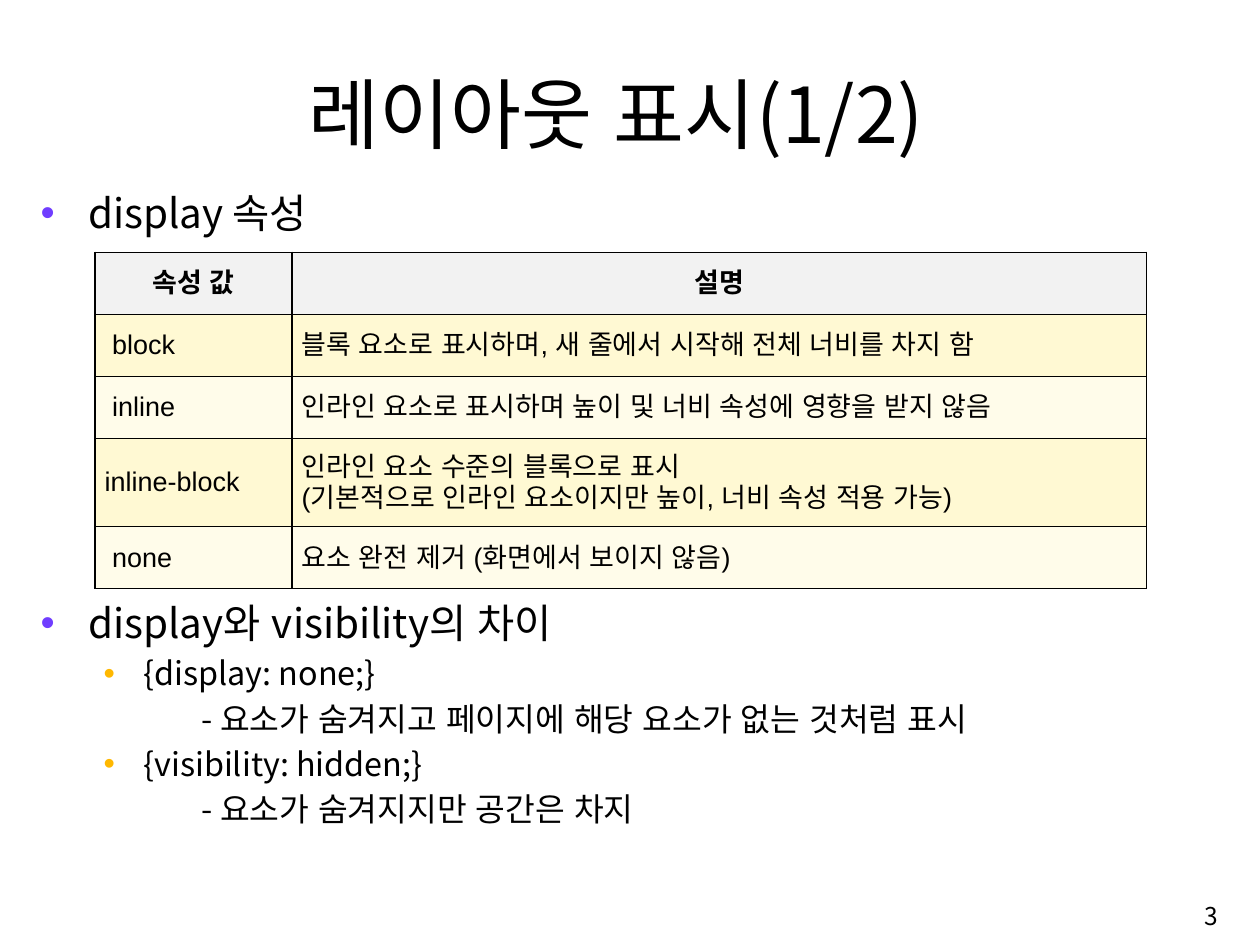
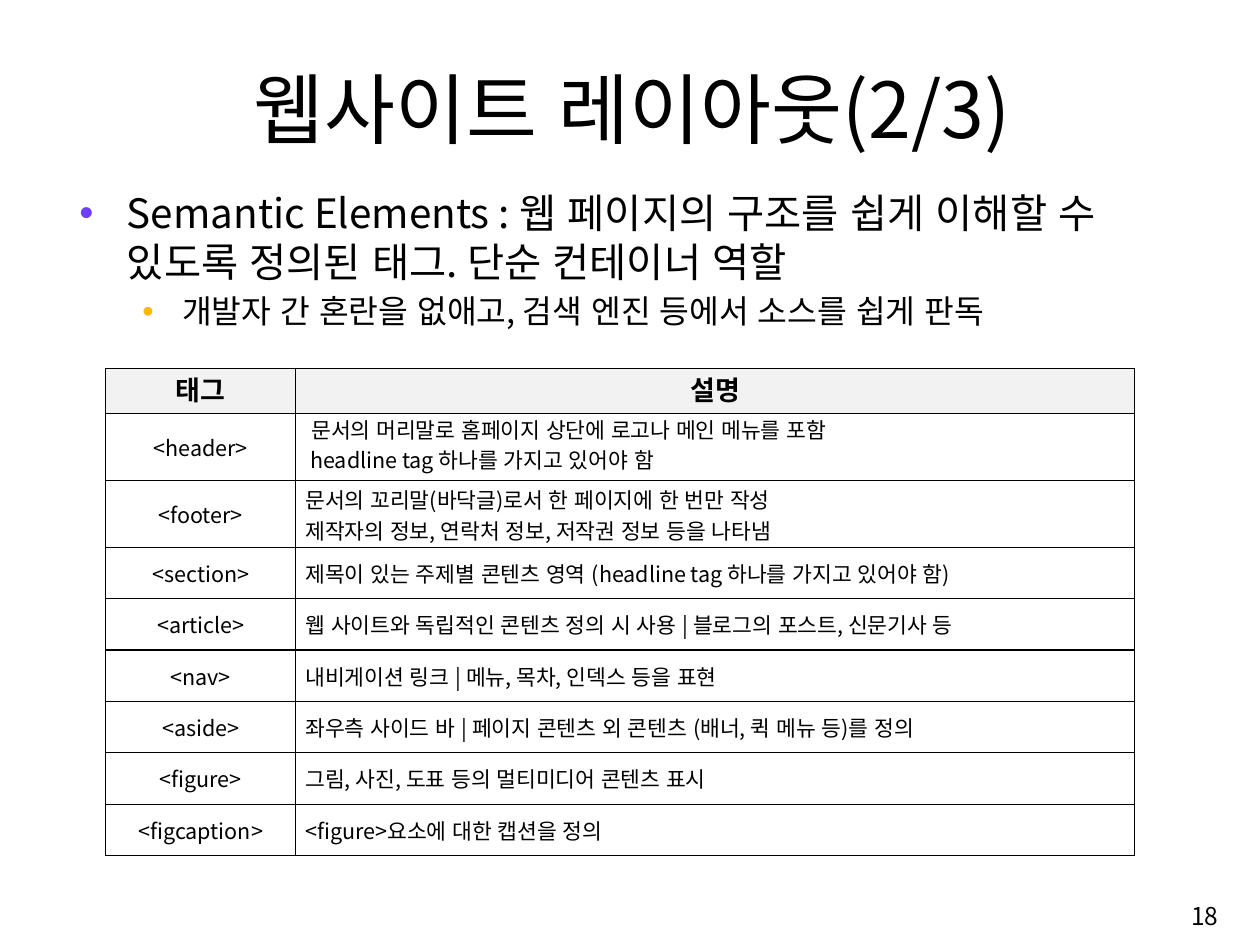
from dataclasses import dataclass

from lxml import etree
from pptx import Presentation
from pptx.dml.color import RGBColor
from pptx.enum.text import MSO_ANCHOR, PP_ALIGN
from pptx.oxml.ns import qn
from pptx.util import Inches, Pt

LEFT, CENTER, RIGHT = PP_ALIGN.LEFT, PP_ALIGN.CENTER, PP_ALIGN.RIGHT
JUSTIFY = PP_ALIGN.JUSTIFY
TOP, MIDDLE, BOTTOM = MSO_ANCHOR.TOP, MSO_ANCHOR.MIDDLE, MSO_ANCHOR.BOTTOM

WIDE, HIGH = 12.99, 9.74
SANS, ARIAL = "Noto Sans CJK KR", "Arial"
BLACK, GRAY = "000000", "F2F2F2"
YELLOW, CREAM = "FFF9D3", "FFFCEA"
PURPLE, ORANGE = "703DFF", "FFB800"


@dataclass(frozen=True)
class Level:
    size: float
    margin: float
    hang: float = 0
    bullet: str = ""


HEAD = Level(30, 0.49, 0.49, PURPLE)
ITEM = Level(24, 1.06, 0.41, ORANGE)
NOTE = Level(24, 1.66)


@dataclass(frozen=True)
class Grid:
    """A table; rows with two lines of text take the tall height."""
    left: float
    top: float
    cols: tuple[float, ...]
    head: float
    row: float
    tall: float
    font: str
    size: float
    aligns: tuple
    fills: tuple[str, ...]
    pad: float
    rows: tuple[tuple[str, str], ...]


DISPLAY = Grid(
    0.98, 2.6, (2.03, 8.81), 0.64, 0.64, 0.91, ARIAL, 20, (LEFT, LEFT),
    (YELLOW, CREAM), 0.05,
    (
        ("속성 값", "설명"),
        (" block", "블록 요소로 표시하며, 새 줄에서 시작해 전체 너비를 차지 함"),
        (" inline", "인라인 요소로 표시하며 높이 및 너비 속성에 영향을 받지 않음"),
        ("inline-block", "인라인 요소 수준의 블록으로 표시\n"
                         "(기본적으로 인라인 요소이지만 높이, 너비 속성 적용 가능)"),
        (" none", "요소 완전 제거 (화면에서 보이지 않음)"),
    ),
)
TAGS = Grid(
    1.09, 3.8, (1.96, 8.65), 0.46, 0.53, 0.69, SANS, 16, (CENTER, JUSTIFY),
    (), 0.03,
    (
        ("태그", "설명"),
        ("<header>", " 문서의 머리말로 홈페이지 상단에 로고나 메인 메뉴를 포함\n"
                     " headline tag 하나를 가지고 있어야 함"),
        ("<footer>", "문서의 꼬리말(바닥글)로서 한 페이지에 한 번만 작성\n"
                     "제작자의 정보, 연락처 정보, 저작권 정보 등을 나타냄"),
        ("<section>", "제목이 있는 주제별 콘텐츠 영역 (headline tag 하나를 가지고 있어야 함)"),
        ("<article>", "웹 사이트와 독립적인 콘텐츠 정의 시 사용 | 블로그의 포스트, 신문기사 등"),
        ("<nav>", "내비게이션 링크 | 메뉴, 목차, 인덱스 등을 표현"),
        ("<aside>", "좌우측 사이드 바 | 페이지 콘텐츠 외 콘텐츠 (배너, 퀵 메뉴 등)를 정의"),
        ("<figure>", "그림, 사진, 도표 등의 멀티미디어 콘텐츠 표시"),
        ("<figcaption>", "<figure>요소에 대한 캡션을 정의"),
    ),
)


def color(code: str) -> RGBColor:
    return RGBColor.from_string(code)


def style(para, size: float, align=LEFT, font: str = SANS, bold: bool = False) -> None:
    para.alignment = align
    for run in para.runs:
        run.font.name = font
        run.font.size = Pt(size)
        run.font.bold = bold
        run.font.color.rgb = color(BLACK)
        latin = run.font._element.find(qn("a:latin"))
        latin.addnext(latin.makeelement(qn("a:ea"), {"typeface": ARIAL}))


def add_box(slide, left: float, top: float, width: float, height: float, anchor=TOP):
    """Add a wrapping text box and return its text frame."""
    box = slide.shapes.add_textbox(
        Inches(left), Inches(top), Inches(width), Inches(height))
    frame = box.text_frame
    frame.word_wrap = True
    frame.vertical_anchor = anchor
    return frame


def add_line(slide, text: str, size: float, area: tuple, align, anchor) -> None:
    frame = add_box(slide, *area, anchor)
    frame.text = text
    style(frame.paragraphs[0], size, align)


def indent(para, level: Level) -> None:
    """Set the margin and the coloured bullet of a paragraph."""
    props = para._p.get_or_add_pPr()
    props.set("marL", str(Inches(level.margin)))
    props.set("indent", str(-Inches(level.hang)))
    if level.bullet:
        tint = etree.SubElement(props, qn("a:buClr"))
        etree.SubElement(tint, qn("a:srgbClr"), val=level.bullet)
        etree.SubElement(props, qn("a:buFont"), typeface=ARIAL)
        etree.SubElement(props, qn("a:buChar"), char="•")
    else:
        etree.SubElement(props, qn("a:buNone"))


def add_list(slide, area: tuple, items: list[tuple[Level, str]]) -> None:
    frame = add_box(slide, *area)
    frame.text = "\n".join(text for _, text in items)
    for para, (level, _) in zip(frame.paragraphs, items):
        style(para, level.size)
        para.space_before = Pt(level.size * 0.2)
        indent(para, level)


def add_edges(cell) -> None:
    """Draw a thin black line on each side of a cell, below its fill in the XML."""
    props = cell._tc.get_or_add_tcPr()
    for place, side in enumerate(("lnL", "lnR", "lnT", "lnB")):
        edge = props.makeelement(qn(f"a:{side}"), {"w": str(Pt(1))})
        fill = etree.SubElement(edge, qn("a:solidFill"))
        etree.SubElement(fill, qn("a:srgbClr"), val=BLACK)
        props.insert(place, edge)


def add_grid(slide, grid: Grid) -> None:
    highs = [grid.head] + [
        grid.tall if "\n" in text else grid.row for _, text in grid.rows[1:]]
    table = slide.shapes.add_table(
        len(highs), len(grid.cols), Inches(grid.left), Inches(grid.top),
        Inches(sum(grid.cols)), Inches(sum(highs))).table
    for col, width in zip(table.columns, grid.cols):
        col.width = Inches(width)
    for index, (texts, high) in enumerate(zip(grid.rows, highs)):
        head = index == 0
        table.rows[index].height = Inches(high)
        for col, text in enumerate(texts):
            cell = table.cell(index, col)
            cell.text_frame.text = text
            cell.vertical_anchor = MIDDLE
            cell.margin_left = cell.margin_right = Inches(0.1)
            cell.margin_top = cell.margin_bottom = Inches(grid.pad)
            for para in cell.text_frame.paragraphs:
                style(para, 20 if head else grid.size,
                      CENTER if head else grid.aligns[col], grid.font, head)
            if head or grid.fills:
                cell.fill.solid()
                shade = GRAY if head else grid.fills[(index - 1) % len(grid.fills)]
                cell.fill.fore_color.rgb = color(shade)
            else:
                cell.fill.background()
            add_edges(cell)


def add_slide(deck, title: str, number: int, left: float, top: float):
    """Add a blank slide with its title and page number."""
    slide = deck.slides.add_slide(deck.slide_layouts[6])
    add_line(slide, title, 57.2, (left, top, 10.61, 1.08), CENTER, BOTTOM)
    add_line(slide, str(number), 18.2, (9.98, 9.15, 2.68, 0.58), RIGHT, MIDDLE)
    return slide


def main() -> None:
    deck = Presentation()
    deck.slide_width, deck.slide_height = Inches(WIDE), Inches(HIGH)

    slide = add_slide(deck, "레이아웃 표시(1/2)", 3, 1.05, 0.61)
    add_list(slide, (0.32, 1.89, 12.32, 0.7), [(HEAD, "display 속성")])
    add_grid(slide, DISPLAY)
    add_list(slide, (0.32, 6.12, 12.32, 2.6), [
        (HEAD, "display와 visibility의 차이"),
        (ITEM, "{display: none;}"),
        (NOTE, "- 요소가 숨겨지고 페이지에 해당 요소가 없는 것처럼 표시"),
        (ITEM, "{visibility: hidden;}"),
        (NOTE, "- 요소가 숨겨지지만 공간은 차지"),
    ])

    slide = add_slide(deck, "웹사이트 레이아웃(2/3)", 18, 1.21, 0.56)
    add_list(slide, (0.72, 1.89, 11.36, 1.7), [
        (HEAD, "Semantic Elements : 웹 페이지의 구조를 쉽게 이해할 수 있도록 "
               "정의된 태그. 단순 컨테이너 역할"),
        (ITEM, "개발자 간 혼란을 없애고, 검색 엔진 등에서 소스를 쉽게 판독"),
    ])
    add_grid(slide, TAGS)

    deck.save("out.pptx")


if __name__ == "__main__":
    main()
